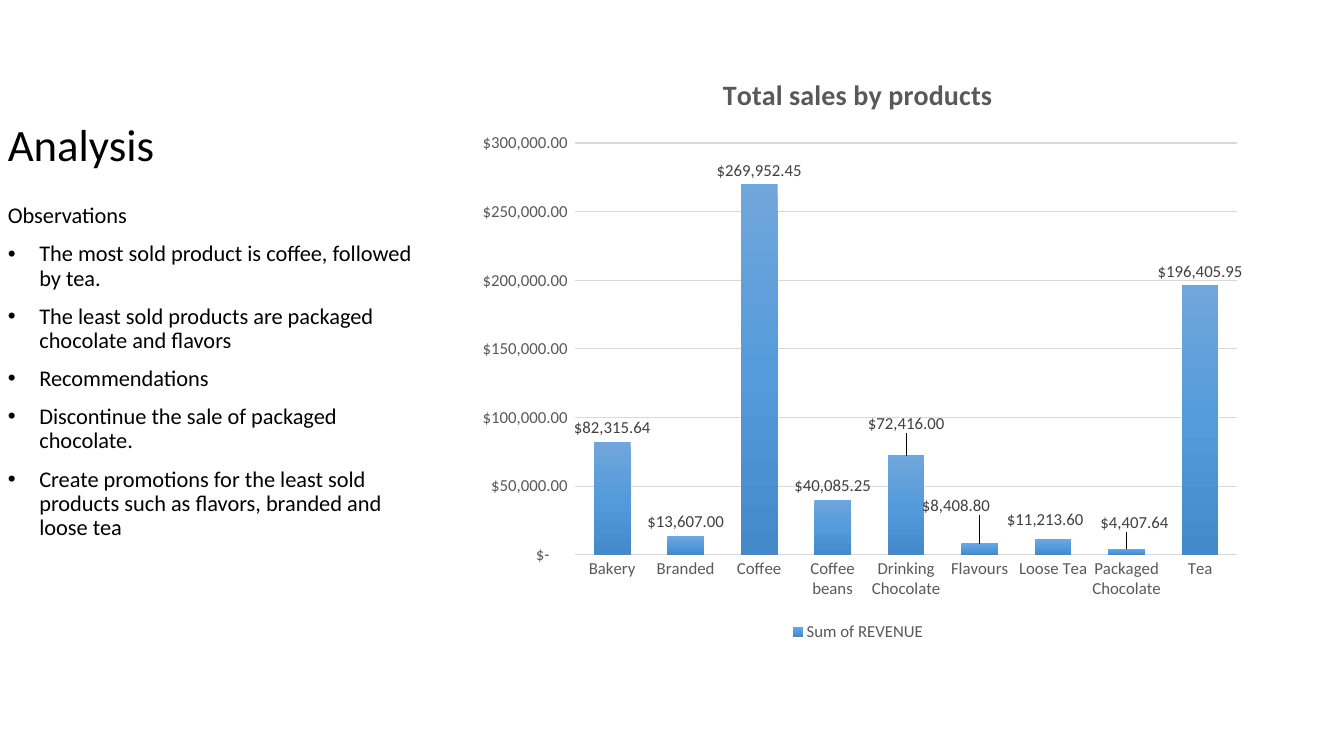
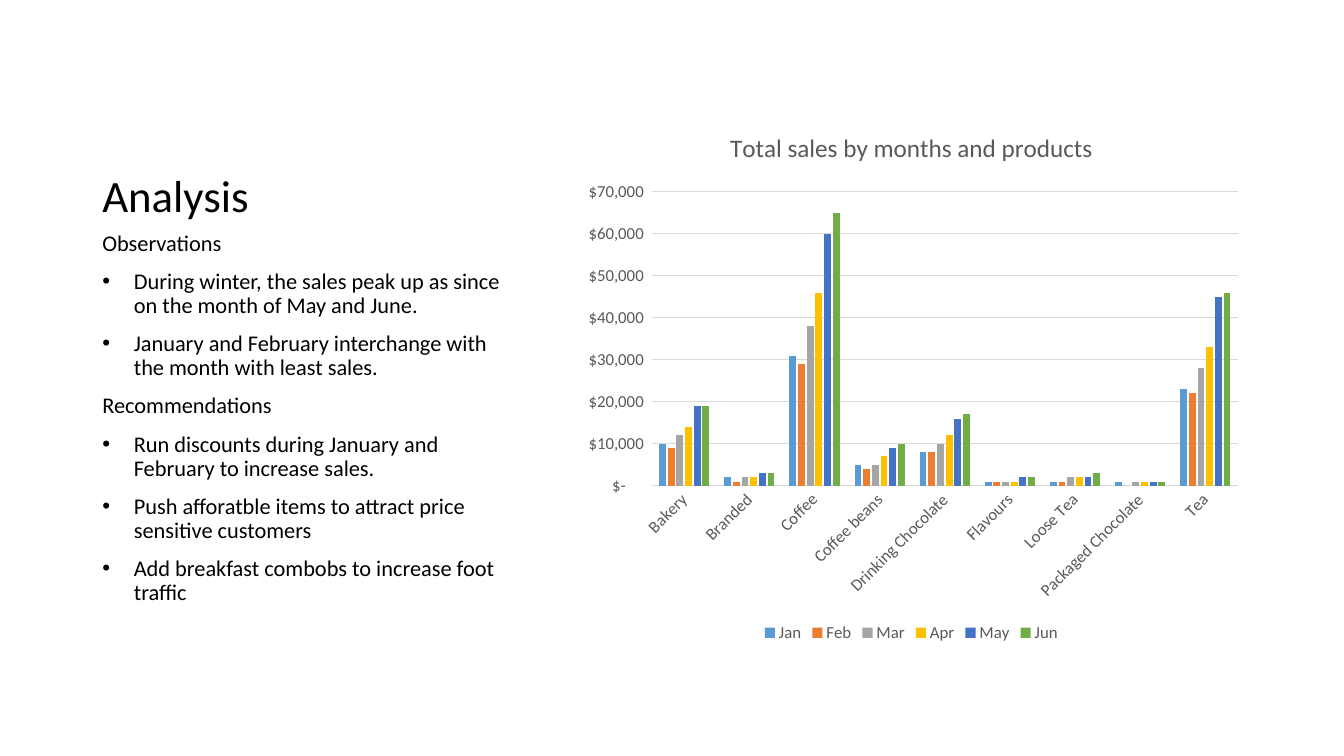
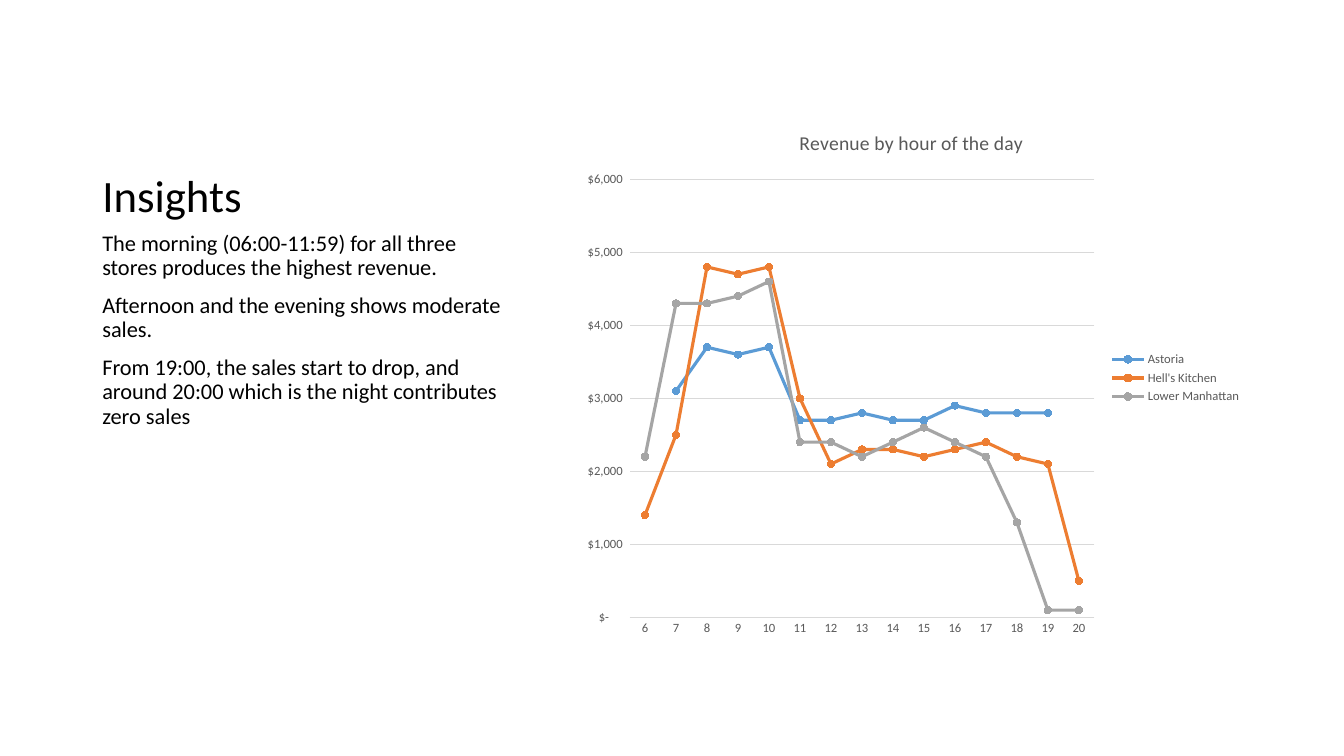
from pptx import Presentation
from pptx.chart.data import CategoryChartData as ChartData
from pptx.dml.color import RGBColor
from pptx.enum.chart import XL_CHART_TYPE as ChartType
from pptx.enum.chart import XL_LABEL_POSITION as LabelPosition
from pptx.enum.chart import XL_LEGEND_POSITION as LegendPosition
from pptx.enum.chart import XL_MARKER_STYLE as MarkerStyle
from pptx.enum.chart import XL_TICK_MARK as TickMark
from pptx.enum.text import MSO_ANCHOR as Anchor
from pptx.oxml import parse_xml
from pptx.oxml.ns import nsdecls, qn
from pptx.util import Pt

PX = 9525
WIDTH, HEIGHT = 1280, 720
FONT = "Calibri"
BLACK, GREY, DARK, RULE = "000000", "595959", "404040", "D9D9D9"
SERIES_COLORS = ["5B9BD5", "ED7D31", "A5A5A5", "FFC000", "4472C4", "70AD47"]
BAR_GRADIENT = [(0, "71A6DB"), (50, "559BDB"), (100, "448ACA")]
DOLLARS = '_("$"* #,##0_);_("$"* \\(#,##0\\);_("$"* "-"??_);_(@_)'
CENTS = DOLLARS.replace("#,##0", "#,##0.00")
PRODUCTS = ["Bakery", "Branded", "Coffee", "Coffee beans", "Drinking Chocolate",
            "Flavours", "Loose Tea", "Packaged Chocolate", "Tea"]
CHART_BOX = (544, 104, 648, 512)


def color(value):
    return RGBColor.from_string(value)


def apply(target, **values):
    for name, value in values.items():
        setattr(target, name, value)


def style_font(font, size, ink, bold=False):
    apply(font, name=FONT, size=Pt(size), bold=bold)
    font.color.rgb = color(ink)


def style_line(line, ink, width):
    line.color.rgb = color(ink)
    line.width = Pt(width)


class Deck:
    """Holds the shared style and the current slide."""

    def __init__(self):
        self.presentation = Presentation()
        apply(self.presentation, slide_width=WIDTH * PX, slide_height=HEIGHT * PX)
        self.slide = None

    def add_slide(self):
        self.slide = self.presentation.slides.add_slide(self.presentation.slide_layouts[6])

    def text(self, box, lines, size, anchor=Anchor.TOP, space=0):
        shape = self.slide.shapes.add_textbox(*(length * PX for length in box))
        frame = shape.text_frame
        apply(frame, word_wrap=True, vertical_anchor=anchor)
        for index, line in enumerate(lines):
            paragraph = frame.paragraphs[0] if index == 0 else frame.add_paragraph()
            apply(paragraph, line_spacing=0.9, space_before=Pt(space))
            run = paragraph.add_run()
            run.text = line.removeprefix("• ")
            style_font(run.font, size, BLACK)
            if line.startswith("• "):
                self.bullet(paragraph)

    def bullet(self, paragraph):
        properties = paragraph._p.get_or_add_pPr()
        properties.set("marL", str(30 * PX))
        properties.set("indent", str(-30 * PX))
        properties.append(parse_xml(f'<a:buFont {nsdecls("a")} typeface="Arial"/>'))
        properties.append(parse_xml(f'<a:buChar {nsdecls("a")} char="•"/>'))

    def panel(self, title, lines, left=88, title_top=48, body_top=216):
        self.text((left, title_top, 413, 168), [title], 32, Anchor.BOTTOM)
        self.text((left, body_top, 413, 400), lines, 16, space=10)

    def chart(self, kind, box, title, title_size, categories, series, number_format,
              size=12, bold=False, legend=LegendPosition.BOTTOM, axis_width=0.75, rotation=0):
        data = ChartData()
        data.categories = categories
        for name, values in series.items():
            data.add_series(name, values)
        chart = self.slide.shapes.add_chart(kind, *(length * PX for length in box), data).chart
        style_font(chart.font, 10, BLACK)
        chart.has_title = True
        run = chart.chart_title.text_frame.paragraphs[0].add_run()
        run.text = title
        style_font(run.font, title_size, GREY, bold)
        chart.has_legend = True
        apply(chart.legend, position=legend, include_in_layout=False)
        style_font(chart.legend.font, size, GREY)
        for axis in (chart.category_axis, chart.value_axis):
            apply(axis, major_tick_mark=TickMark.NONE, minor_tick_mark=TickMark.NONE)
            style_font(axis.tick_labels.font, size, GREY)
        style_line(chart.category_axis.format.line, RULE, axis_width)
        body = chart.category_axis._element.find(qn("c:txPr")).find(qn("a:bodyPr"))
        body.set("rot", str(rotation * 60000))
        chart.value_axis.format.line.fill.background()
        apply(chart.value_axis.tick_labels, number_format=number_format,
              number_format_is_linked=False)
        style_line(chart.value_axis.major_gridlines.format.line, RULE, 0.75)
        chart.plots[0].vary_by_categories = False
        return chart

    def columns(self, *details, gap, overlap, **options):
        chart = self.chart(ChartType.COLUMN_CLUSTERED, *details, **options)
        apply(chart.plots[0], gap_width=gap, overlap=overlap)
        for series, ink in zip(chart.series, SERIES_COLORS):
            series.format.fill.solid()
            series.format.fill.fore_color.rgb = color(ink)
        return chart

    def lines(self, *details, **options):
        chart = self.chart(ChartType.LINE_MARKERS, *details, **options)
        for series, ink in zip(chart.series, SERIES_COLORS):
            series.smooth = False
            style_line(series.format.line, ink, 2.25)
            apply(series.marker, style=MarkerStyle.CIRCLE, size=5)
            series.marker.format.fill.solid()
            series.marker.format.fill.fore_color.rgb = color(ink)
            style_line(series.marker.format.line, ink, 0.75)
        return chart

    def gradient(self, series, stops):
        marks = "".join(f'<a:gs pos="{position * 1000}"><a:srgbClr val="{ink}"/></a:gs>'
                        for position, ink in stops)
        properties = series._element.get_or_add_spPr()
        for child in list(properties):
            properties.remove(child)
        properties.append(parse_xml(f'<a:gradFill {nsdecls("a")} rotWithShape="1"><a:gsLst>{marks}'
                                    '</a:gsLst><a:lin ang="5400000" scaled="0"/></a:gradFill>'))

    def value_labels(self, series, number_format, shifts):
        labels = series.data_labels
        apply(labels, show_value=True, position=LabelPosition.OUTSIDE_END,
              number_format=number_format, number_format_is_linked=False)
        style_font(labels.font, 12, DARK)
        for index, (across, down) in shifts.items():
            label = series.points[index].data_label
            style_font(label.font, 12, DARK)
            label.position = LabelPosition.OUTSIDE_END
            start = label._dLbl.find(qn("c:idx"))
            code = parse_xml(f'<c:numFmt {nsdecls("c")} sourceLinked="0"/>')
            code.set("formatCode", number_format)
            start.addnext(code)
            start.addnext(parse_xml(f'<c:layout {nsdecls("c")}><c:manualLayout><c:x val="{across}"/>'
                                    f'<c:y val="{down}"/></c:manualLayout></c:layout>'))


def product_slide(deck):
    deck.add_slide()
    revenue = [82315.64, 13607, 269952.45, 40085.25, 72416, 8408.8, 11213.6, 4407.64, 196405.95]
    chart = deck.columns((441, 50, 752, 565), "Total sales by products", 20, PRODUCTS,
                         {"Sum of REVENUE": revenue}, CENTS,
                         gap=100, overlap=-24, bold=True, axis_width=1)
    deck.gradient(chart.series[0], BAR_GRADIENT)
    deck.value_labels(chart.series[0], CENTS,
                      {4: (0, -0.03), 5: (-0.03, -0.04), 6: (-0.01, -0.01), 7: (0.01, -0.02)})
    deck.panel("Analysis", [
        "Observations",
        "• The most sold product is coffee, followed by tea.",
        "• The least sold products are packaged chocolate and flavors",
        "• Recommendations",
        "• Discontinue the sale of packaged chocolate.",
        "• Create promotions for the least sold products such as flavors, branded and loose tea",
    ], left=-2, title_top=0, body_top=190)


def month_slide(deck):
    deck.add_slide()
    months = {
        "Jan": [10000, 2000, 31000, 5000, 8000, 1000, 1000, 1000, 23000],
        "Feb": [9000, 1000, 29000, 4000, 8000, 1000, 1000, 0, 22000],
        "Mar": [12000, 2000, 38000, 5000, 10000, 1000, 2000, 1000, 28000],
        "Apr": [14000, 2000, 46000, 7000, 12000, 1000, 2000, 1000, 33000],
        "May": [19000, 3000, 60000, 9000, 16000, 2000, 2000, 1000, 45000],
        "Jun": [19000, 3000, 65000, 10000, 17000, 2000, 3000, 1000, 46000],
    }
    deck.columns(CHART_BOX, "Total sales by months and products", 18, PRODUCTS, months,
                 DOLLARS, gap=219, overlap=-27, rotation=-45)
    deck.panel("Analysis", [
        "Observations",
        "• During winter, the sales peak up as since on the month of May and June.",
        "• January and February interchange with the month with least sales.",
        "Recommendations",
        "• Run discounts during January and February to increase sales.",
        "• Push afforatble items to attract price sensitive customers",
        "• Add breakfast combobs to increase foot traffic",
    ])


def hour_slide(deck):
    deck.add_slide()
    stores = {
        "Astoria": [None, 3100, 3700, 3600, 3700, 2700, 2700, 2800,
                    2700, 2700, 2900, 2800, 2800, 2800, None],
        "Hell's Kitchen": [1400, 2500, 4800, 4700, 4800, 3000, 2100, 2300,
                           2300, 2200, 2300, 2400, 2200, 2100, 500],
        "Lower Manhattan": [2200, 4300, 4300, 4400, 4600, 2400, 2400, 2200,
                            2400, 2600, 2400, 2200, 1300, 100, 100],
    }
    deck.lines(CHART_BOX, "Revenue by hour of the day", 14,
               [str(hour) for hour in range(6, 21)], stores, DOLLARS,
               size=9, legend=LegendPosition.RIGHT)
    deck.panel("Insights", [
        "The morning (06:00-11:59) for all three stores produces the highest revenue.",
        "Afternoon and the evening shows moderate sales.",
        "From 19:00, the sales start to drop, and around 20:00 which is the night "
        "contributes zero sales",
    ])


def main():
    deck = Deck()
    for build in (product_slide, month_slide, hour_slide):
        build(deck)
    deck.presentation.save("out.pptx")


if __name__ == "__main__":
    main()
